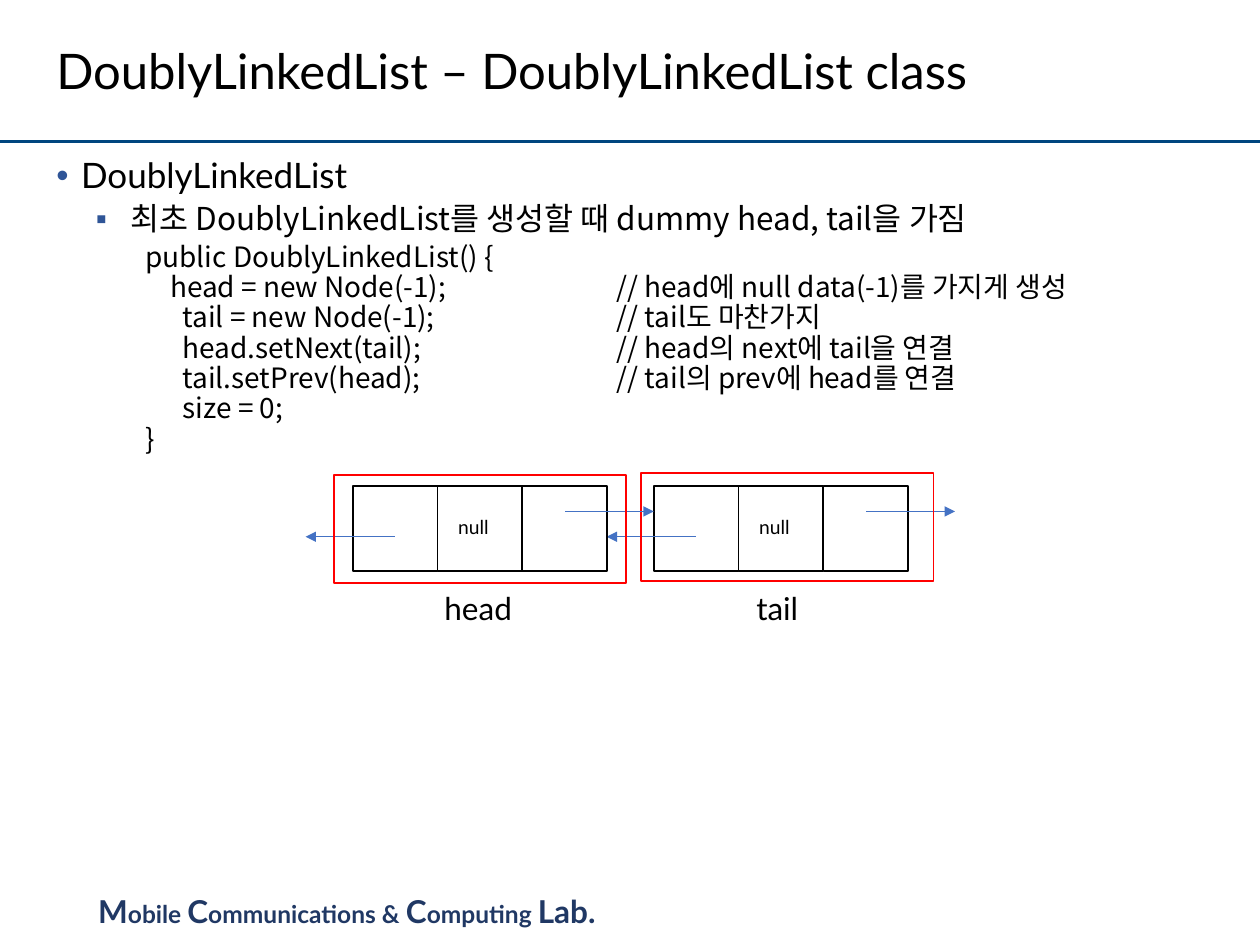
from lxml import etree
from pptx import Presentation
from pptx.dml.color import RGBColor
from pptx.enum.shapes import MSO_CONNECTOR, MSO_SHAPE
from pptx.enum.text import MSO_ANCHOR, MSO_AUTO_SIZE, PP_ALIGN
from pptx.oxml.ns import qn
from pptx.util import Cm, Pt

BLACK = RGBColor(0x00, 0x00, 0x00)
RED = RGBColor(0xFF, 0x00, 0x00)
ARROW_BLUE = RGBColor(0x44, 0x72, 0xC4)
RULE_BLUE = RGBColor(0x00, 0x46, 0x7F)
BULLET_BLUE = RGBColor(0x2F, 0x55, 0x97)
LAB_BLUE = RGBColor(0x20, 0x38, 0x64)
LATIN, KOREAN = "Lato", "Noto Sans CJK KR"
RECTANGLE, STRAIGHT = MSO_SHAPE.RECTANGLE, MSO_CONNECTOR.STRAIGHT
MIDDLE, TOP = MSO_ANCHOR.MIDDLE, MSO_ANCHOR.TOP
LEFT, CENTER = PP_ALIGN.LEFT, PP_ALIGN.CENTER
FIXED = MSO_AUTO_SIZE.NONE

CELL = 1.71
COMMENT_COLUMN = 11.3
CODE = [
    (1.8, "public DoublyLinkedList() {"),
    (2.3, "head = new Node(-1);\t// head에 null data(-1)를 가지게 생성"),
    (2.55, "tail = new Node(-1);\t// tail도 마찬가지"),
    (2.55, "head.setNext(tail);\t// head의 next에 tail을 연결"),
    (2.55, "tail.setPrev(head);\t// tail의 prev에 head를 연결"),
    (2.55, "size = 0;"),
    (1.8, "}"),
]
LAB_NAME = [("M", 18), ("obile ", 14), ("C", 18), ("ommunications & ", 14),
            ("C", 18), ("omputing ", 14), ("Lab.", 18)]


def place(shape, left, top, width, height):
    """Move a shape to a box given in centimetres."""
    shape.left, shape.top = Cm(left), Cm(top)
    shape.width, shape.height = Cm(width), Cm(height)


def add_span(para, text, size, font=LATIN, color=BLACK, bold=False):
    """Add one formatted run of text."""
    span = para.add_run()
    span.text = text
    span.font.size, span.font.name, span.font.bold = Pt(size), font, bold
    span.font.color.rgb = color


def set_indent(para, margin, hanging=0, bullet=None, tab=None):
    """Set the margin, bullet and tab distance of a paragraph."""
    props = para._p.get_or_add_pPr()
    props.set("marL", str(Cm(margin)))
    props.set("indent", str(-Cm(hanging)))
    if tab:
        props.set("defTabSz", str(Cm(tab)))
    if bullet:
        color = etree.SubElement(props, qn("a:buClr"))
        etree.SubElement(color, qn("a:srgbClr"), val=str(BULLET_BLUE))
        etree.SubElement(props, qn("a:buFont"), typeface="Arial")
        etree.SubElement(props, qn("a:buChar"), char=bullet)
    else:
        etree.SubElement(props, qn("a:buNone"))


def add_label(page, text, size, left, top, width, height):
    """Add a centred one-line label."""
    box = page.shapes.add_textbox(0, 0, 0, 0)
    place(box, left, top, width, height)
    box.text_frame.word_wrap = False
    para = box.text_frame.paragraphs[0]
    para.alignment = CENTER
    add_span(para, text, size)


def add_line(page, start, end, color, width, arrow=False):
    """Draw a straight line, with an arrowhead if asked."""
    line = page.shapes.add_connector(STRAIGHT, *map(Cm, start + end))
    line.line.color.rgb, line.line.width = color, Pt(width)
    etree.SubElement(line._element.spPr, qn("a:effectLst"))
    if arrow:
        etree.SubElement(line.line._get_or_add_ln(), qn("a:tailEnd"), type="triangle")


def add_frame(page, color, left, top, width, height):
    """Draw an unfilled rectangle."""
    frame = page.shapes.add_shape(RECTANGLE, 0, 0, 0, 0)
    place(frame, left, top, width, height)
    frame.shadow.inherit = False
    frame.fill.background()
    frame.line.color.rgb, frame.line.width = color, Pt(1)


def add_node(page, name, left, top, outline_left, outline_top, label_left):
    """Draw a list node with its cells, links, outline and name."""
    for index in range(3):
        add_frame(page, BLACK, left + index * CELL, top, CELL, CELL)
    add_label(page, "null", 11, left + 1.85, top + 0.46, 1.17, 0.74)
    next_y, previous_y = top + 0.51, top + 1.02
    add_line(page, (left + 4.28, next_y), (left + 6.07, next_y), ARROW_BLUE, 0.5, True)
    add_line(page, (left + 0.85, previous_y), (left - 0.95, previous_y),
             ARROW_BLUE, 0.5, True)
    add_frame(page, RED, outline_left, outline_top, 5.89, 2.18)
    add_label(page, name, 18, label_left, top + 1.95, 1.9, 1.02)


def fill_title(title):
    """Place and write the title."""
    place(title, 0.88, 0.36, 23.65, 2.24)
    title.text_frame.vertical_anchor = MIDDLE
    title.text_frame.auto_size = FIXED
    para = title.text_frame.paragraphs[0]
    para.alignment, para.line_spacing = LEFT, 0.9
    add_span(para, "DoublyLinkedList – DoublyLinkedList class", 28)


def fill_body(body):
    """Place the body and write the bullets and the code."""
    place(body, 0.88, 3.07, 23.65, 13.82)
    frame = body.text_frame
    frame.vertical_anchor, frame.auto_size = TOP, FIXED
    bullets = [
        (0, "DoublyLinkedList", 20, LATIN, 0.5, 0.5, "•", 7.5),
        (1, "최초 DoublyLinkedList를 생성할 때 dummy head, tail을 가짐",
         18, KOREAN, 1.5, 0.7, "▪", 3.8),
    ]
    for level, text, size, font, margin, hanging, bullet, before in bullets:
        para = frame.add_paragraph() if level else frame.paragraphs[0]
        para.level, para.line_spacing, para.space_before = level, 0.9, Pt(before)
        set_indent(para, margin, hanging, bullet)
        add_span(para, text, size, font)
    for index, (margin, text) in enumerate(CODE):
        para = frame.add_paragraph()
        para.level, para.line_spacing = 2, Pt(17.3)
        para.space_before = Pt(0 if index else 3.3)
        set_indent(para, margin, tab=COMMENT_COLUMN - margin)
        add_span(para, text, 16, KOREAN)


def add_footer(page, left, top, width, height):
    """Write the name of the lab."""
    box = page.shapes.add_textbox(0, 0, 0, 0)
    place(box, left, top, width, height)
    box.text_frame.word_wrap = True
    for text, size in LAB_NAME:
        add_span(box.text_frame.paragraphs[0], text, size, color=LAB_BLUE, bold=True)


def build():
    """Build the slide and save the deck."""
    deck = Presentation()
    deck.slide_width, deck.slide_height = Cm(25.4), Cm(19.05)
    page = deck.slides.add_slide(deck.slide_layouts[1])
    add_footer(page, 1.73, 17.86, 11.51, 1.02)
    add_line(page, (0, 2.85), (25.4, 2.85), RULE_BLUE, 1.5)
    fill_body(page.placeholders[1])
    fill_title(page.shapes.title)
    add_node(page, "tail", 13.18, 9.8, 12.93, 9.53, 14.72)
    add_node(page, "head", 7.11, 9.8, 6.73, 9.58, 8.69)
    deck.save("out.pptx")


build()
